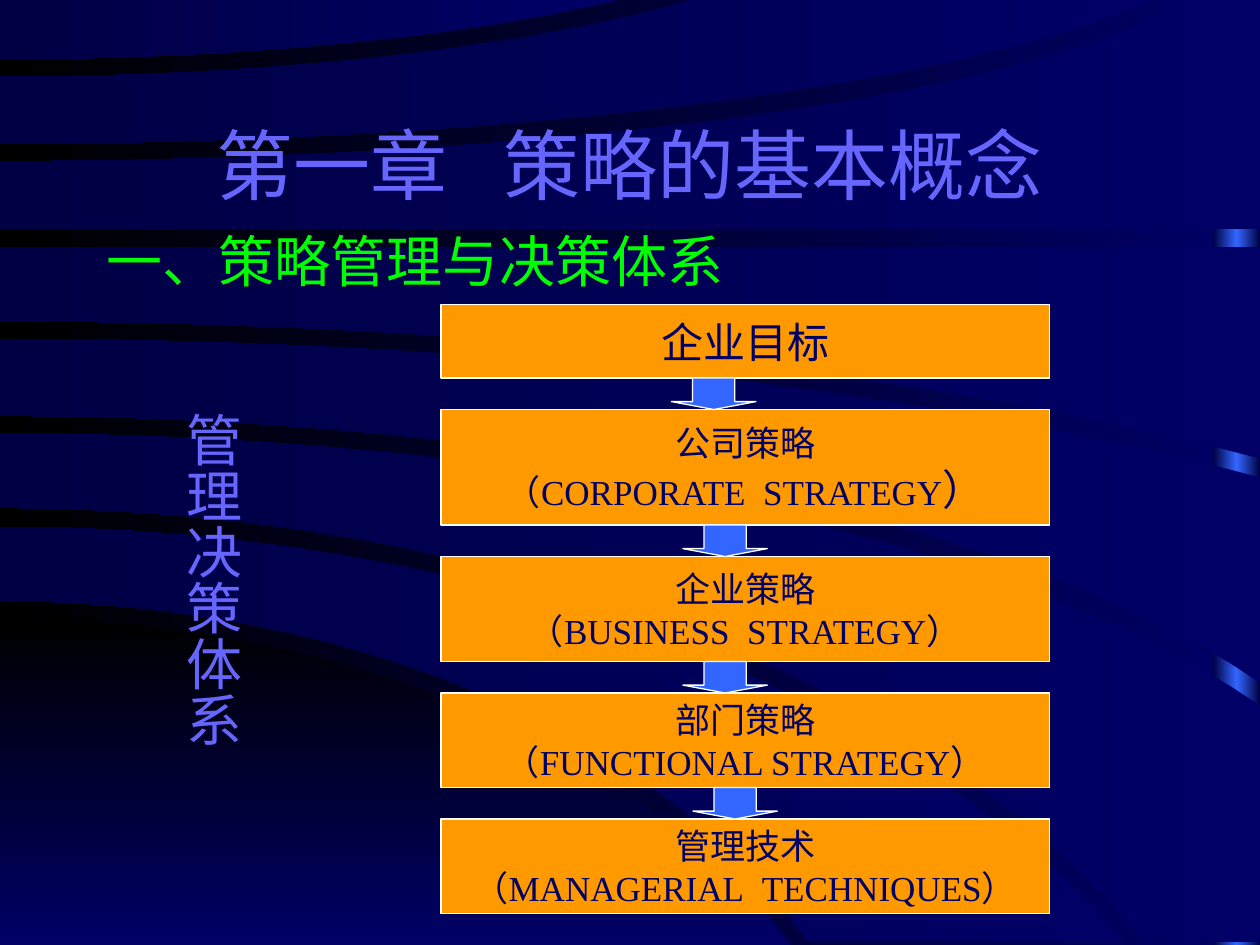
"""Build the slide on strategy management and the decision system."""
from copy import deepcopy
from itertools import accumulate
from math import asin, cos, sin

from pptx import Presentation, util as u
from pptx.dml.color import RGBColor
from pptx.enum import shapes, text
from pptx.oxml.ns import qn

FONT = "Times New Roman"
HUES = {"navy": "000066", "dark": "000044", "black": "000000", "blue": "3366FF",
        "lilac": "6666FF", "green": "00FF00", "gold": "FF9900", "white": "FFFFFF"}

TITLE = [[("第一章", 44, 0), (" ", 44, 22), ("策略的基本概念", 44, 0)]]
HEAD = [[("一、策略管理与决策体系", 32, 0)]]
SIDE = [[("管理决策体系", 32, 0)]]

STEPS = [
    (7, [[("企业目标", 24, 0)]]),
    (11, [[("公司策略", 20, 0)],
          [("（CORPORATE", 20, 0), (" ", 20, 5), ("STRATEGY", 20, 0), ("）", 24, 0)]]),
    (10, [[("企业策略", 20, 0)],
          [("（BUSINESS", 20, 0), (" ", 20, 5), ("STRATEGY）", 20, 0)]]),
    (9, [[("部门策略", 20, 0)], [("（FUNCTIONAL STRATEGY）", 20, 0)]]),
    (9, [[("管理技术", 20, 0)],
         [("（MANAGERIAL", 20, 0), (" ", 20, 5), ("TECHNIQUES）", 20, 0)]]),
]
ARROWS = [5.33, 5.42, 5.42, 5.5]

HILL = (4.91, 7, 6.28, 7.5)
BANDS = [
    ((4.18, 10.05, 8.93, 7.48), [], (4.77, 7.05, 6.42, 7.48)),
    ((3.44, 11.2, 10, 5.6), [(10, 7.48)], (4.03, 10.1, 9.09, 7.48)),
    ((2.69, 13.7, 10, 3.79), [], (3.3, 11.1, 10, 5.42)),
    ((1.96, 13.7, 10, 1.96), [], (2.55, 13.7, 10, 3.64)),
    ((1.28, 9.73, 9.4, 0), [(10, 0)], (1.82, 13.7, 10, 1.82)),
    ((0.61, 7, 5.49, 0), [], (1.14, 9.85, 9.13, 0)),
    ((0, 6.6, 4.91, 0), [], (0.47, 6.6, 4.91, 0)),
]


def cm(inch):
    """Turn inches into a length."""
    return u.Cm(2.54 * inch)


def rgb(hue):
    """Look up a colour."""
    return RGBColor.from_string(HUES[hue])


def arc(start, reach, x, y, count=24):
    """List points on an ellipse that leaves the left edge level and ends at x, y."""
    turn = asin(x / reach)
    rise = (y - start) / (1 - cos(turn))
    turns = [turn * i / count for i in range(count + 1)]
    return [(reach * sin(t), start + rise * (1 - cos(t))) for t in turns]


def fade(fill, first, last, angle=180):
    """Give a fill a straight two-colour gradient."""
    fill.gradient()
    fill.gradient_angle = angle
    for stop, hue, spot in zip(fill.gradient_stops, (first, last), (0, 1)):
        stop.color.rgb = rgb(hue)
        stop.position = spot


def trace(slide, dots, first, last, angle=180):
    """Draw a closed outline with a gradient and no line."""
    pts = [(cm(x), cm(y)) for x, y in dots]
    pen = slide.shapes.build_freeform(*pts[0])
    pen.add_line_segments(pts[1:], close=True)
    form = pen.convert_to_shape()
    form.shadow.inherit = False
    form.line.fill.background()
    fade(form.fill, first, last, angle)


def strip(slide):
    """Draw the glowing strip at the right edge."""
    bar = slide.shapes.add_shape(shapes.MSO_SHAPE.RECTANGLE,
                                 cm(9.63), 0, cm(0.37), cm(7.5))
    bar.shadow.inherit = False
    bar.line.fill.background()
    fade(bar.fill, "dark", "blue")
    stops = bar._element.spPr.find(".//" + qn("a:gsLst"))
    stops.append(deepcopy(stops[0]))
    for stop, spot in zip(stops, (0, 50000, 100000)):
        stop.set("pos", str(spot))


def write(frame, lines, hue, align):
    """Fill a text frame with lines of (text, size, extra spacing) runs."""
    for i, line in enumerate(lines):
        para = frame.add_paragraph() if i else frame.paragraphs[0]
        para.alignment = align
        for words, size, gap in line:
            run = para.add_run()
            run.text = words
            run.font.size, run.font.name = u.Pt(size), FONT
            run.font.color.rgb = rgb(hue)
            if gap:
                run.font._element.set("spc", str(gap * 100))


def label(slide, box, lines, hue, align, anchor=text.MSO_ANCHOR.TOP):
    """Add a wrapped text box."""
    frame = slide.shapes.add_textbox(*map(cm, box)).text_frame
    frame.word_wrap = True
    frame.vertical_anchor = anchor
    write(frame, lines, hue, align)
    return frame


def block(slide, kind, box, hue):
    """Add a filled shape with a thin white line."""
    item = slide.shapes.add_shape(kind, *map(cm, box))
    item.shadow.inherit = False
    item.fill.solid()
    item.fill.fore_color.rgb = rgb(hue)
    item.line.color.rgb = rgb("white")
    item.line.width = u.Pt(0.75)
    return item


def main():
    """Assemble and save the slide."""
    deck = Presentation()
    deck.slide_width, deck.slide_height = cm(10), cm(7.5)
    slide = deck.slides.add_slide(deck.slide_layouts[6])
    fade(slide.background.fill, "navy", "black")
    strip(slide)
    trace(slide, arc(*HILL) + [(0, 7.5)], "black", "navy", 270)
    for upper, corner, lower in BANDS:
        trace(slide, arc(*upper) + corner + arc(*lower)[::-1], "navy", "dark")

    mid, left = text.PP_ALIGN.CENTER, text.PP_ALIGN.LEFT
    label(slide, (0.75, 0.67, 8.5, 1.25), TITLE, "lilac", mid, text.MSO_ANCHOR.MIDDLE)
    label(slide, (0.75, 1.75, 8.5, 4.75), HEAD, "green", left)
    side = label(slide, (1.27, 3.17, 0.73, 3.08), SIDE, "lilac", mid)
    side.margin_left = side.margin_right = cm(0.05)
    side.margin_top = side.margin_bottom = cm(0.1)
    side._txBody.bodyPr.set("vert", "eaVert")

    gap = 0.25
    tops = list(accumulate((n / 12 + gap for n, _ in STEPS), initial=29 / 12))
    for top, (n, lines) in zip(tops, STEPS):
        item = block(slide, shapes.MSO_SHAPE.RECTANGLE, (3.5, top, 4.83, n / 12), "gold")
        item.text_frame.word_wrap = False
        item.text_frame.vertical_anchor = text.MSO_ANCHOR.MIDDLE
        write(item.text_frame, lines, "navy", mid)
    for x, top in zip(ARROWS, tops[1:]):
        arrow = block(slide, shapes.MSO_SHAPE.DOWN_ARROW, (x, top - gap, 0.67, gap), "blue")
        arrow.adjustments[0], arrow.adjustments[1] = 0.5, 0.25
    deck.save("out.pptx")


if __name__ == "__main__":
    main()
